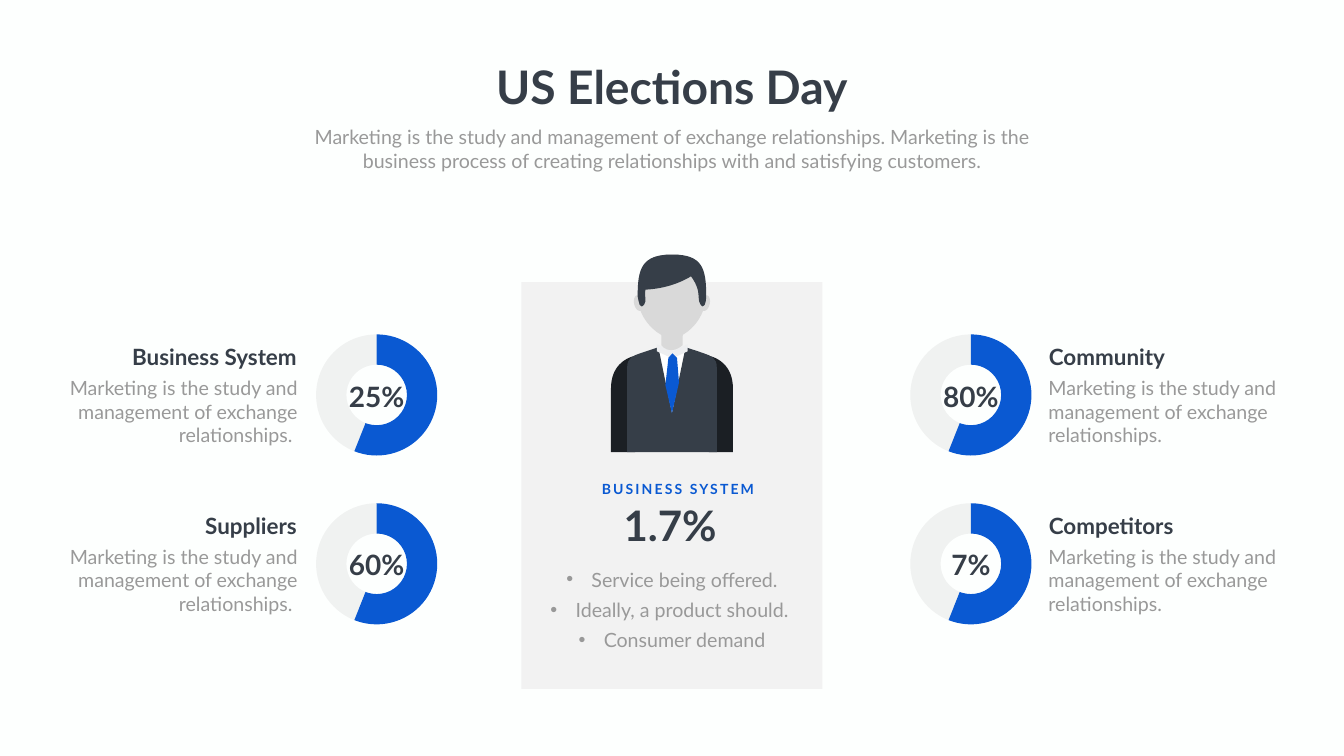
"""Build the US Elections Day infographic slide with its four doughnut charts."""
from lxml import etree
from pptx import Presentation
from pptx import util as u
from pptx.chart import data
from pptx.dml import color
from pptx.enum import chart as charts, shapes, text
from pptx.oxml import parse_xml
from pptx.oxml.ns import nsdecls, qn

INK, GREY, BLUE, SKIN = "363E48", "999999", "0A59D2", "D9D9D9"
LEFT, CENTER, RIGHT = text.PP_ALIGN.LEFT, text.PP_ALIGN.CENTER, text.PP_ALIGN.RIGHT


def paint(fill, hex_value):
    fill.solid()
    fill.fore_color.rgb = color.RGBColor.from_string(hex_value)


def write(box, lines, size, hex_value, align=CENTER, bold=False, wrap=True, holder=None):
    edges = [u.Cm(edge) for edge in box]
    holder = holder or slide.shapes.add_textbox(*edges)
    for name, value in zip(("left", "top", "width", "height"), edges):
        setattr(holder, name, value)
    frame = holder.text_frame
    frame.text = "\n".join(lines)
    frame_format = {
        "word_wrap": wrap,
        "vertical_anchor": text.MSO_ANCHOR.TOP,
        "auto_size": text.MSO_AUTO_SIZE.SHAPE_TO_FIT_TEXT,
    }
    for name, value in frame_format.items():
        setattr(frame, name, value)
    for paragraph in frame.paragraphs:
        paragraph.alignment = align
        font = paragraph.runs[0].font
        for name, value in {"name": "Lato", "size": u.Pt(size), "bold": bold}.items():
            setattr(font, name, value)
        paint(font.fill, hex_value)
    return frame


deck = Presentation()
deck.slide_width, deck.slide_height = u.Cm(67.72), u.Cm(38.1)
slide = deck.slides.add_slide(deck.slide_layouts[1])
paint(slide.background.fill, "FDFFFE")
title, offers = slide.placeholders

write((24.61, 2.83, 18.49, 3.07), ["US Elections Day"], 66, INK,
      bold=True, wrap=False, holder=title)
write((13.89, 6.18, 39.93, 2.64),
      ["Marketing is the study and management of exchange relationships. "
       "Marketing is the business process of creating relationships with "
       "and satisfying customers."], 28, GREY)

card = slide.shapes.add_shape(shapes.MSO_SHAPE.RECTANGLE,
                              *[u.Cm(edge) for edge in (26.27, 14.22, 15.17, 20.5)])
card.shadow.inherit = False
paint(card.fill, "F2F2F2")
card.line.fill.background()
title.element.addprevious(card.element)

write((29.97, 25.04, 7.59, 2.82), ["1.7%"], 60, INK, bold=True)
caption = write((29.97, 24.1, 8.38, 1.12), ["BUSINESS SYSTEM"], 20, BLUE,
                bold=True, wrap=False)
caption.paragraphs[0].runs[0].font._element.set("spc", "300")

offer_lines = ["Service being offered.", "Ideally, a product should. ", "Consumer demand"]
offer_frame = write((27.38, 28.14, 12.95, 4.67), offer_lines, 28, GREY, holder=offers)
for offer in offer_frame.paragraphs:
    properties = offer._p.get_or_add_pPr()
    properties.set("marL", str(u.Cm(1.27)))
    properties.set("indent", str(-u.Cm(1.27)))
    etree.SubElement(properties, qn("a:buChar"), char="•")
    for name, value in {"line_spacing": u.Pt(43), "space_before": u.Pt(0)}.items():
        setattr(offer, name, value)

study = "Marketing is the study and management of exchange relationships."
sides = [
    (45.26, 52.6, 52.58, LEFT, study, [("Community", "80%"), ("Competitors", "7%")]),
    (15.32, 5.23, 3.15, RIGHT, study + " ", [("Business System", "25%"), ("Suppliers", "60%")]),
]
for ring_left, heading_left, body_left, align, body, topics in sides:
    for row, (heading, share) in enumerate(topics):
        top = 16.51 + 8.51 * row
        shares = data.CategoryChartData()
        shares.categories = ["1", "2"]
        shares.add_series("Series 1", (56, 44))
        ring = slide.shapes.add_chart(
            charts.XL_CHART_TYPE.DOUGHNUT,
            *[u.Cm(edge) for edge in (ring_left, top, 7.32, 6.86)], shares).chart
        ring.has_title = ring.has_legend = False
        for name, value in {"name": "Calibri", "size": u.Pt(10)}.items():
            setattr(ring.font, name, value)
        paint(ring.font.fill, GREY)
        plot = ring.plots[0]
        plot.has_data_labels = False
        for index, hex_value in enumerate((BLUE, "808080")):
            slice_format = plot.series[0].points[index].format
            paint(slice_format.fill, hex_value)
            slice_format.line.fill.background()
        space = ring._chartSpace
        space.xpath(".//c:holeSize")[0].set("val", "75")
        faded = space.xpath('.//a:srgbClr[@val="808080"]')[0]
        etree.SubElement(faded, qn("a:alpha"), val="10000")
        area = space.xpath(".//c:plotArea")[0]
        for layout in area.xpath("./c:layout"):
            area.remove(layout)
        area.insert(0, parse_xml(
            f'<c:layout {nsdecls("c")}><c:manualLayout><c:layoutTarget val="inner"/>'
            '<c:xMode val="edge"/><c:yMode val="edge"/><c:x val="0.08"/><c:y val="0.05"/>'
            '<c:w val="0.84"/><c:h val="0.89"/></c:manualLayout></c:layout>'))

        write((ring_left + 1.5, top + 2.47, 4.32, 1.96), [share], 40, INK, bold=True)
        write((heading_left, top + 0.67, 9.98, 1.63), [heading], 32, INK, align, bold=True)
        write((body_left, top + 2.31, 12.09, 3.84), [body], 28, GREY, align)

UNIT, AXIS = 0.0254, 1333
sleeve = "1454,897 1454,771 1454,727,1426,710,1406,706 1406,897"
shirt = "1333,697 1303,689 1333,820 1363,689"
jacket = ("1244,897 1422,897 1422,730 1422,709,1410,706,1396,701 1385,697,1360,689,1360,689 "
          "1333,820 1306,689 1270,701 1256,706,1244,709,1244,730")
collar = "1364,683 1364,697 1334,711 1303,697 1303,683 1334,697"
tie = "1334,701 1343,710 1347,759 1333,820 1320,764 1326,710"
face = ("1333,505 1395,505,1400,542,1400,588 1400,622,1377,652,1355,664 1354,667 1354,685 "
        "1354,685,1343,695,1332,695 1319,695,1312,685,1312,685 1312,665 1311,664 "
        "1289,652,1265,622,1265,588 1265,542,1269,505,1333,505")
ear = ("1408,603 1406,612,1401,618,1395,617 1390,615,1387,608,1390,599 "
       "1392,590,1397,585,1403,586 1407,587,1410,595,1408,603")
hair = ("1336,505 1331,505 1273,506,1265,533,1265,588 1265,593,1268,600,1269,605 "
        "1270,606,1271,606,1273,608 1273,608,1283,606,1280,588 1277,571,1291,526,1333,526 "
        "1361,526,1386,562,1386,588 1386,606,1394,608,1394,608 1395,606,1396,606,1398,605 "
        "1400,600,1401,595,1401,588 1401,533,1394,506,1336,505")
fringe = "1389,535 1389,535,1348,575,1269,575 1269,575,1265,530,1303,514 1341,498,1382,522,1389,535"
figure = [
    ("1B1F24", sleeve, (1, -1)), ("FFFFFF", shirt, (1,)), (INK, jacket, (1,)),
    ("EDEEF0", collar, (1,)), (BLUE, tie, (1,)), (SKIN, face, (1,)),
    (SKIN, ear, (1, -1)), (INK, hair, (1,)), (INK, fringe, (1,)),
]
for hex_value, outline, mirrors in figure:
    steps = [[int(number) for number in step.split(",")] for step in outline.split()]
    knots = [knot for step in steps for knot in zip(step[::2], step[1::2])]
    for mirror in mirrors:
        points = [(u.Cm((AXIS + mirror * (x - AXIS)) * UNIT), u.Cm(y * UNIT)) for x, y in knots]
        builder = slide.shapes.build_freeform(*points[0])
        builder.add_line_segments(points[1:], close=True)
        part = builder.convert_to_shape()
        segments = iter(part.element.xpath(".//a:lnTo"))
        for step in steps[1:]:
            segment = next(segments)
            if len(step) == 6:
                curve = etree.Element(qn("a:cubicBezTo"))
                segment.addprevious(curve)
                for control in (segment, next(segments), next(segments)):
                    curve.append(control[0])
                    control.getparent().remove(control)
        part.shadow.inherit = False
        paint(part.fill, hex_value)
        part.line.fill.background()

deck.save("out.pptx")
